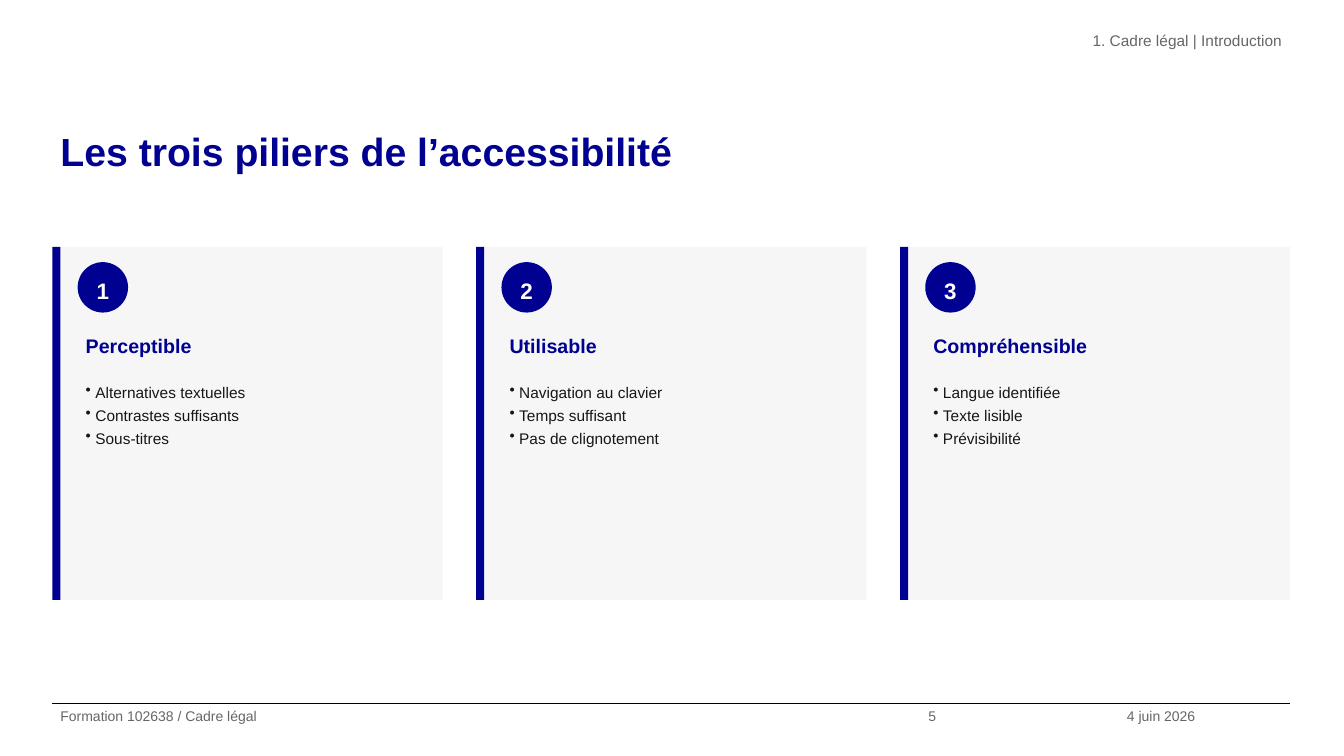
import pptx
import pptx.util
import pptx.dml.color
import pptx.enum.shapes
import pptx.enum.text
import pptx.oxml.ns
import lxml.etree

WIDE = pptx.util.Inches(13.33)
HIGH = pptx.util.Inches(7.5)
BLUE, GREY, PALE, INK = "000091", "666666", "F6F6F6", "161616"
LEFT, SPAN, GAP, BAR, PAD = 3.9, 92.1, 2.5, 0.6, 1.88
TOP, TALL, FOOT = 32.67, 46.67, 93.07
FORMS = pptx.enum.shapes.MSO_SHAPE
ALIGN = pptx.enum.text.PP_ALIGN
PILLARS = [
    ("Perceptible", ["Alternatives textuelles", "Contrastes suffisants", "Sous-titres"]),
    ("Utilisable", ["Navigation au clavier", "Temps suffisant", "Pas de clignotement"]),
    ("Compréhensible", ["Langue identifiée", "Texte lisible", "Prévisibilité"]),
]


def tint(code):
    return pptx.dml.color.RGBColor.from_string(code)


def across(share):
    return round(WIDE * share / 100)


def down(share):
    return round(HIGH * share / 100)


def place(x, y, w, h):
    return across(x), down(y), across(w), down(h)


def bullet(para):
    props = para._p.get_or_add_pPr()
    inset = across(0.72)
    props.set("marL", str(inset))
    props.set("indent", str(-inset))
    mark = lxml.etree.SubElement(props, pptx.oxml.ns.qn("a:buChar"))
    mark.set("char", "•")


def write(shape, text, size, code, bold=False, align=ALIGN.LEFT, inset=0.67, dots=False):
    frame = shape.text_frame
    frame.word_wrap = True
    frame.margin_left = frame.margin_right = across(0.6)
    frame.margin_top = frame.margin_bottom = down(inset)
    frame.text = text
    for para in frame.paragraphs:
        para.alignment = align
        para.line_spacing = 1.25
        if dots:
            bullet(para)
        for run in para.runs:
            run.font.name = "Arial"
            run.font.size = pptx.util.Pt(size)
            run.font.bold = bold
            run.font.color.rgb = tint(code)


def label(slide, spot, text, size, code, **style):
    write(slide.shapes.add_textbox(*place(*spot)), text, size, code, **style)


def block(slide, form, spot, code):
    shape = slide.shapes.add_shape(form, *place(*spot))
    shape.shadow.inherit = False
    shape.fill.solid()
    shape.fill.fore_color.rgb = tint(code)
    shape.line.fill.background()
    return shape


def rule(slide, y):
    line = slide.shapes.add_connector(
        pptx.enum.shapes.MSO_CONNECTOR.STRAIGHT,
        across(LEFT), down(y), across(LEFT + SPAN), down(y))
    line.line.color.rgb = tint("000000")
    line.line.width = pptx.util.Pt(0.8)
    lxml.etree.SubElement(line._element.spPr, pptx.oxml.ns.qn("a:effectLst"))


def card(slide, x, wide, rank, head, points):
    block(slide, FORMS.RECTANGLE, (x + BAR, TOP, wide - BAR, TALL), PALE)
    block(slide, FORMS.RECTANGLE, (x, TOP, BAR, TALL), BLUE)
    disc = block(slide, FORMS.OVAL, (x + PAD, TOP + 2, 3.75, 6.67), BLUE)
    disc.text_frame.vertical_anchor = pptx.enum.text.MSO_ANCHOR.MIDDLE
    write(disc, str(rank), 16, "FFFFFF", bold=True, align=ALIGN.CENTER)
    room = wide - PAD - 1.12
    label(slide, (x + PAD, TOP + 10, room, 6), head, 14, BLUE, bold=True)
    label(slide, (x + PAD, TOP + 16.67, room, 28), "\n".join(points), 11, INK, dots=True)


def main():
    deck = pptx.Presentation()
    deck.slide_width, deck.slide_height = WIDE, HIGH
    slide = deck.slides.add_slide(deck.slide_layouts[6])
    rule(slide, FOOT)
    label(slide, (LEFT, 15.33, SPAN, 14), "Les trois piliers de l’accessibilité",
          28, BLUE, bold=True, inset=0)
    label(slide, (36.23, 3.47, 59.77, 6.93), "1. Cadre légal | Introduction",
          11, GREY, align=ALIGN.RIGHT, inset=0)
    wide = (SPAN - GAP * (len(PILLARS) - 1)) / len(PILLARS)
    for slot, (head, points) in enumerate(PILLARS):
        card(slide, LEFT + slot * (wide + GAP), wide, slot + 1, head, points)
    x = LEFT
    for text, span in [("Formation 102638 / Cadre légal", 64.58), ("5", 14.77), ("4 juin 2026", 12.75)]:
        label(slide, (x, FOOT, span, 6.93), text, 10, GREY, inset=0)
        x += span
    deck.save("out.pptx")


if __name__ == "__main__":
    main()
